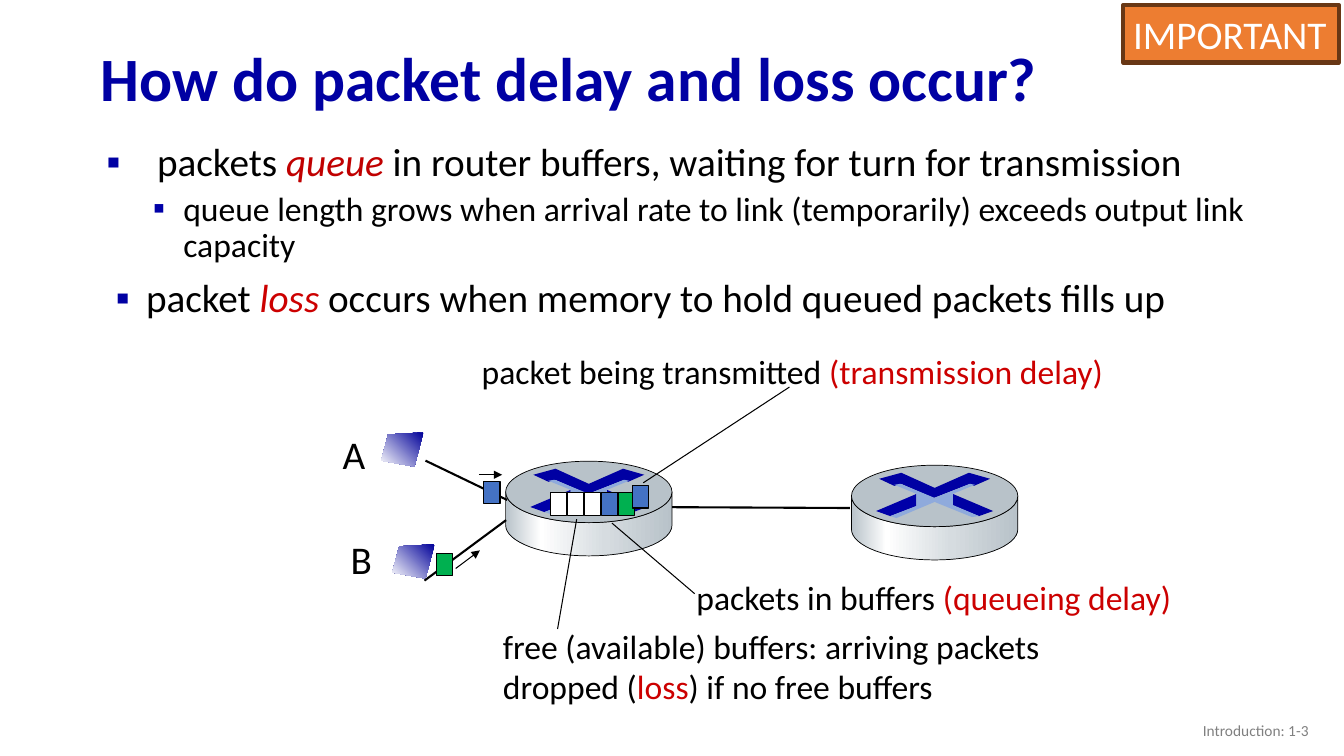
from math import cos, pi, sin
from lxml.etree import SubElement
from pptx import Presentation
from pptx.dml.color import RGBColor as Rgb
from pptx.enum.shapes import MSO_CONNECTOR as Conn, MSO_SHAPE as Kind
from pptx.enum.text import MSO_ANCHOR as Anchor, PP_ALIGN as Align
from pptx.oxml.ns import qn
from pptx.util import Inches, Pt

HUES = {"navy": "0000A3", "deep": "0000A8", "ink": "000000", "red": "CC0000",
        "wine": "C00000", "white": "FFFFFF", "blue": "4472C4", "green": "00B050",
        "steel": "B8C2C9", "pale": "D6DCE0", "sky": "8FAADC", "screen": "000099",
        "gray": "808080", "orange": "ED7D31", "brown": "683715"}


def write(para, text, size=24, hue="ink", bold=False, slant=False):
    run = para.add_run()
    run.text = text
    font = run.font
    font.name, font.size = "Calibri", Pt(size)
    font.bold, font.italic = bold, slant
    font.color.rgb = Rgb.from_string(HUES[hue])


def join(x1, y1, x2, y2, width=0.75, arrow=False):
    wire = shapes.add_connector(Conn.STRAIGHT, Inches(x1), Inches(y1), Inches(x2), Inches(y2))
    wire.line.width = Pt(width)
    wire.line.color.rgb = Rgb.from_string(HUES["ink"])
    if arrow:
        SubElement(wire.line._get_or_add_ln(), qn("a:tailEnd"), type="triangle")
    SubElement(wire._element.spPr, qn("a:effectLst"))


deck = Presentation()
deck.slide_width, deck.slide_height = Inches(13.33), Inches(7.5)
slide = deck.slides.add_slide(deck.slide_layouts[5])
shapes = slide.shapes
parts = []

title = shapes.title
title.left, title.top, title.width, title.height = map(Inches, (0.9, 0.32, 11.5, 0.98))
title.text_frame.vertical_anchor = Anchor.MIDDLE
head = title.text_frame.paragraphs[0]
head.alignment, head.line_spacing = Align.LEFT, 0.9
write(head, "How do packet delay and loss occur?", 44, "navy", bold=True)

body = shapes.add_textbox(Inches(0.9), Inches(1.37), Inches(12.18), Inches(2.1)).text_frame
body.word_wrap = True
points = [
    (0, 0.56, 0.5, 0, 28, "navy", "packets ", "queue", "wine",
     " in router buffers, waiting for turn for transmission"),
    (1, 0.82, 0.3, 5, 24, "deep",
     "queue length grows when arrival rate to link (temporarily) exceeds output link capacity",
     "", "ink", ""),
    (0, 0.45, 0.3, 10, 28, "navy", "packet ", "loss ", "red",
     "occurs when memory to hold queued packets fills up"),
]
for i, (level, left, hang, gap, size, mark, start, key, hue, rest) in enumerate(points):
    para = body.add_paragraph() if i else body.paragraphs[0]
    para.level, para.line_spacing, para.space_before = level, 0.9, Pt(gap)
    props = para._p.get_or_add_pPr()
    props.set("marL", str(Inches(left)))
    props.set("indent", str(-Inches(hang)))
    tint = SubElement(props, qn("a:buClr"))
    SubElement(tint, qn("a:srgbClr"), val=HUES[mark])
    SubElement(props, qn("a:buFont"), typeface="Calibri")
    SubElement(props, qn("a:buChar"), char="▪")
    write(para, start, size)
    if key:
        write(para, key, size, hue, slant=True)
        write(para, rest, size)

join(6.32, 5.03, 8.43, 5.04, 1.5)

metal = [(0, "steel"), (21, "white"), (60, "pale"), (100, "steel")]
glow = [(0, "screen"), (100, "white")]
arc = [(0.825 * cos(pi * i / 32), 0.305 * sin(pi * i / 32)) for i in range(33)]
side = [(x, y + 0.33) for x, y in arc] + arc[::-1]
cross = [
    ("navy", [(0.34, -0.23), (0.55, -0.17), (0.39, -0.1), (0.35, -0.12), (-0.01, 0.02),
              (-0.33, -0.12), (-0.4, -0.1), (-0.55, -0.17), (-0.33, -0.23), (0, -0.08)]),
    ("navy", [(0.18, -0.02), (0.58, 0.15), (0.44, 0.2), (0.17, 0.09)]),
    ("deep", [(-0.18, -0.02), (-0.18, 0.1), (-0.44, 0.2), (-0.58, 0.15)]),
    ("sky", [(-0.4, -0.11), (-0.34, -0.12), (0, 0.02), (0.35, -0.12), (0.4, -0.11),
             (0.18, -0.02), (0.18, 0.09), (0.44, 0.2), (0.37, 0.21), (0, 0.06),
             (-0.38, 0.22), (-0.44, 0.2), (-0.18, 0.1), (-0.18, -0.02)]),
]
laptop = [(0.42, 0), (0.07, 0.02), (0, 0.28), (0.33, 0.34)]
forms = []
for x, y in [(5.84, 4.88), (9.27, 4.92)]:
    forms += [(x, y, metal, "ink", side), (x, y, "steel", "ink", None)]
    forms += [(x, y, hue, None, dots) for hue, dots in cross]
forms += [(x, y, glow, None, laptop) for x, y in [(3.78, 4.29), (3.89, 5.4)]]
for x, y, fill, edge, dots in forms:
    if dots:
        spots = [(Inches(x + dx), Inches(y + dy)) for dx, dy in dots]
        pen = shapes.build_freeform(*spots[0])
        pen.add_line_segments(spots[1:], close=True)
        form = pen.convert_to_shape()
    else:
        form = shapes.add_shape(Kind.OVAL, Inches(x - 0.825), Inches(y - 0.305),
                                Inches(1.65), Inches(0.61))
    parts.append((form, fill, edge, 0.5))

join(4.22, 4.57, 5.03, 4.96, 1.5)
join(4.21, 5.76, 5.02, 5.16, 1.5)

queue = ["white", "white", "white", "blue", "green"]
packets = [(5.46 + 0.1675 * i, 4.89, hue) for i, hue in enumerate(queue)]
packets += [(6.27, 4.82, "blue"), (4.8, 4.78, "blue"), (4.33, 5.49, "green")]
for x, y, hue in packets:
    packet = shapes.add_shape(Kind.RECTANGLE, Inches(x), Inches(y), Inches(0.16), Inches(0.22))
    parts.append((packet, hue, "ink", 0.75))

join(4.75, 4.71, 4.98, 4.71, arrow=True)
join(4.52, 5.64, 4.76, 5.46, arrow=True)
join(7.83, 3.84, 6.38, 4.79)
join(6.89, 5.89, 6.07, 5.19)
join(5.53, 6.24, 5.72, 5.15)

labels = [
    (3.3, 4.22, 0.43, 0.57, 28, [[("A", "ink")]]),
    (3.38, 5.26, 0.42, 0.57, 28, [[("B", "ink")]]),
    (4.68, 3.43, 6.43, 0.51, 24,
     [[("packet being transmitted ", "ink"), ("(transmission delay)", "red")]]),
    (6.81, 5.67, 4.96, 0.51, 24,
     [[("packets in buffers ", "ink"), ("(queueing delay)", "red")]]),
    (4.89, 6.16, 5.66, 0.91, 24,
     [[("free (available) buffers: arriving packets", "ink")],
      [("dropped (", "ink"), ("loss", "red"), (") if no free buffers", "ink")]]),
]
for x, y, w, h, size, lines in labels:
    frame = shapes.add_textbox(Inches(x), Inches(y), Inches(w), Inches(h)).text_frame
    frame.word_wrap = True
    for i, line in enumerate(lines):
        para = frame.add_paragraph() if i else frame.paragraphs[0]
        for text, hue in line:
            write(para, text, size, hue)

foot = shapes.add_textbox(Inches(10.08), Inches(7.05), Inches(3), Inches(0.4)).text_frame
foot.word_wrap, foot.vertical_anchor = True, Anchor.MIDDLE
foot.paragraphs[0].alignment = Align.RIGHT
write(foot.paragraphs[0], "Introduction: 1-3", 11, "gray")

badge = shapes.add_shape(Kind.RECTANGLE, Inches(11.14), Inches(0.05), Inches(2.14), Inches(0.57))
badge.text_frame.word_wrap = False
badge.text_frame.paragraphs[0].alignment = Align.LEFT
write(badge.text_frame.paragraphs[0], "IMPORTANT", 28, "white")
parts.append((badge, "orange", "brown", 3))

for part, fill, edge, width in parts:
    part.shadow.inherit = False
    if isinstance(fill, list):
        part.fill.gradient()
        part.fill.gradient_angle = 225 if fill is glow else 0
        stops = part._element.spPr.find(".//" + qn("a:gsLst"))
        stops.clear()
        for spot, hue in fill:
            stop = SubElement(stops, qn("a:gs"), pos=str(spot * 1000))
            SubElement(stop, qn("a:srgbClr"), val=HUES[hue])
    else:
        part.fill.solid()
        part.fill.fore_color.rgb = Rgb.from_string(HUES[fill])
    if edge:
        part.line.color.rgb = Rgb.from_string(HUES[edge])
        part.line.width = Pt(width)
    else:
        part.line.fill.background()

deck.save("out.pptx")
